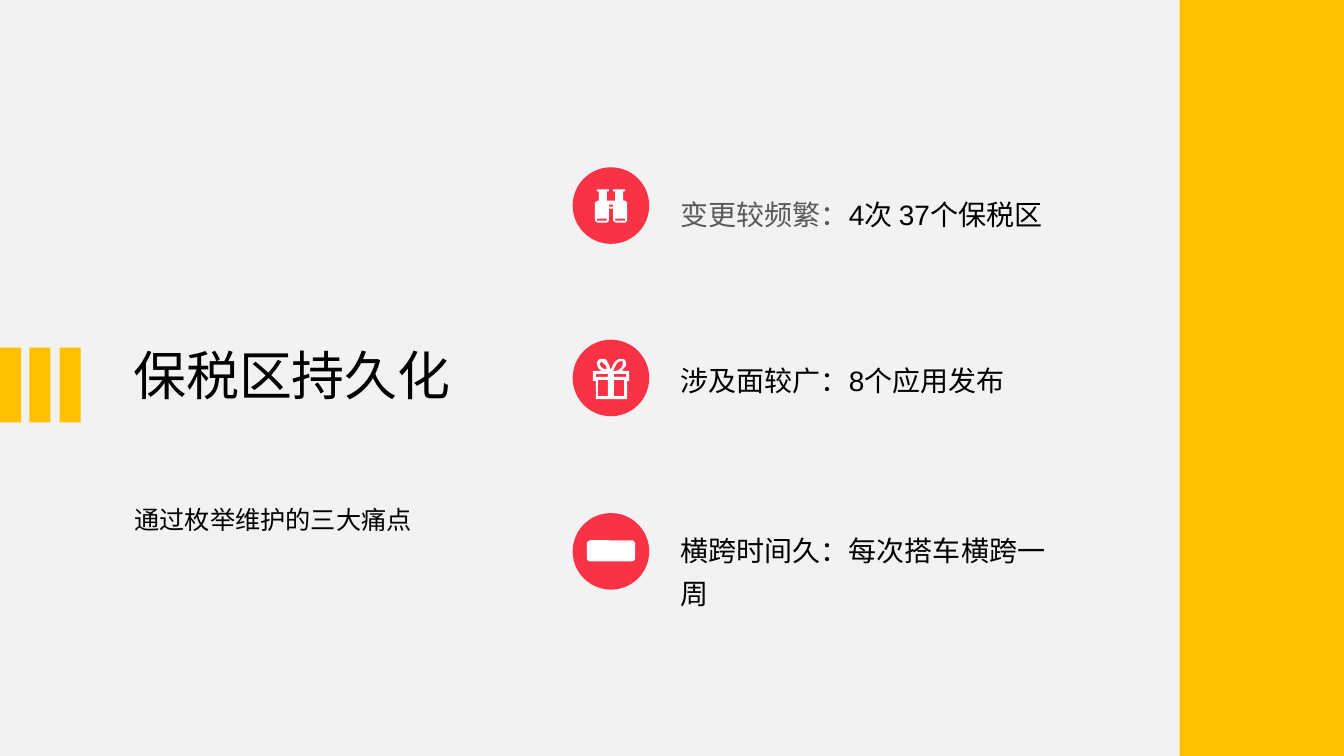
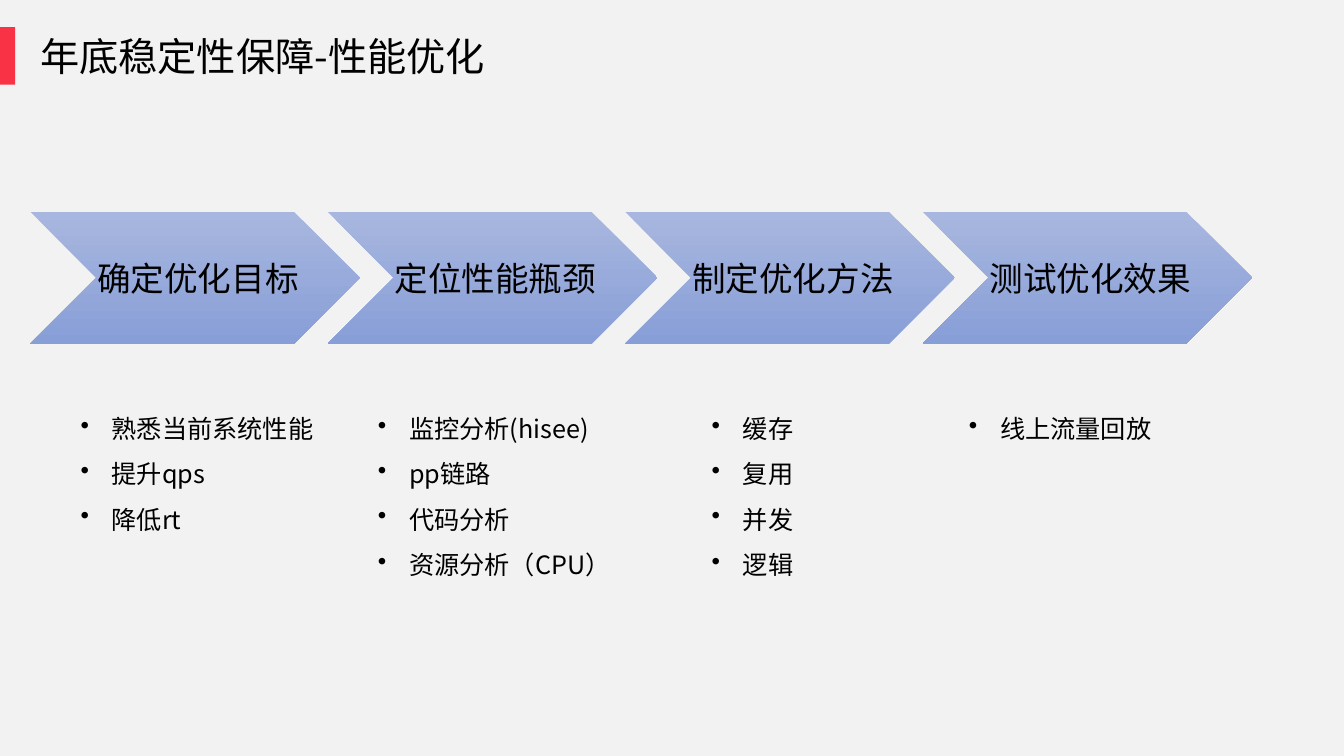
from dataclasses import dataclass

from lxml.etree import SubElement
from pptx import Presentation
from pptx.dml.color import RGBColor
from pptx.enum.shapes import MSO_SHAPE as Preset
from pptx.enum.text import MSO_ANCHOR as Anchor, MSO_AUTO_SIZE as AutoSize, PP_ALIGN as Align
from pptx.oxml.ns import qn
from pptx.util import Pt

EMU_PER_PX = 9144
TITLE_ONLY = 5


@dataclass(frozen=True)
class Theme:
    paper: str = "F2F2F2"
    ink: str = "000000"
    muted: str = "595959"
    yellow: str = "FFC000"
    red: str = "FA3246"
    white: str = "FFFFFF"
    step_top: str = "A8B7DF"
    step_bottom: str = "889ED7"
    cjk: str = "Noto Sans CJK SC"
    latin: str = "Arial"
    cover_size: float = 37.8
    title_size: float = 28
    step_size: float = 24
    item_size: float = 20
    body_size: float = 18


THEME = Theme()


def rectangle(left, top, right, bottom):
    return [(left, top), (right, top), (right, bottom), (left, bottom)]


BINOCULARS = [
    rectangle(2, 0, 14, 2),
    rectangle(18, 0, 30, 2),
    [(30, 11), (28, 11), (28, 2), (20, 2), (20, 11), (12, 11), (12, 2), (4, 2),
     (4, 11), (3, 11), (0, 13), (0, 31), (3, 33), (12, 33), (14, 31), (14, 19),
     (18, 19), (18, 31), (21, 33), (30, 33), (32, 31), (32, 13)],
    rectangle(2, 29, 12, 31),
    rectangle(14, 15, 18, 17),
    rectangle(20, 29, 30, 31),
]
GIFT = [
    [(29, 12), (30, 10), (33, 7), (33, 4), (32, 1), (29, 0), (26, 0), (23, 2),
     (20, 6), (18, 11), (16, 6), (14, 2), (12, 0), (9, 0), (7, 0), (5, 2),
     (4, 4), (5, 8), (6, 10), (9, 12), (0, 12), (0, 22), (3, 22), (3, 40),
     (34, 40), (34, 22), (36, 22), (36, 12)],
    [(24, 4), (26, 3), (29, 2), (30, 4), (29, 8), (26, 11), (23, 12), (20, 12), (22, 8)],
    [(7, 5), (8, 3), (9, 3), (11, 5), (13, 7), (14, 10), (11, 10), (8, 8)],
    rectangle(3, 15, 15, 18),
    rectangle(5, 21, 15, 37),
    rectangle(21, 15, 33, 18),
    rectangle(21, 21, 31, 37),
]

PAIN_TITLE = "保税区持久化"
PAIN_SUBTITLE = " 通过枚举维护的三大痛点"
PAIN_POINTS = [
    ([("变更较频繁：", THEME.muted), ("4次 37个保税区", THEME.ink)], 186, BINOCULARS, (590, 188)),
    ("涉及面较广：8个应用发布", 351, GIFT, (588, 356)),
    ("横跨时间久：每次搭车横跨一周", 519, None, (582, 536)),
]

TUNING_TITLE = "年底稳定性保障-性能优化"
TUNING_STEPS = [
    ("确定优化目标", ["熟悉当前系统性能", "提升qps", "降低rt"], (70, 251)),
    ("定位性能瓶颈", ["监控分析(hisee)", "pp链路", "代码分析", "资源分析（CPU）"], (365, 254)),
    ("制定优化方法", ["缓存", "复用", "并发", "逻辑"], (696, 101)),
    ("测试优化效果", ["线上流量回放"], (951, 201)),
]


def px(length):
    return round(length * EMU_PER_PX)


def box(*lengths):
    return [px(length) for length in lengths]


def color(code):
    return RGBColor.from_string(code)


def write(frame, paragraphs, size, font=THEME.cjk, ink=THEME.ink, align=Align.LEFT,
          anchor=Anchor.TOP, insets=(10, 5, 10, 5), wrap=True, spacing=None,
          after=None, bullet=None):
    frame.word_wrap = wrap
    frame.auto_size = AutoSize.NONE
    frame.vertical_anchor = anchor
    frame.margin_left, frame.margin_top, frame.margin_right, frame.margin_bottom = box(*insets)
    for index, content in enumerate(paragraphs):
        paragraph = frame.add_paragraph() if index else frame.paragraphs[0]
        paragraph.alignment = align
        if spacing:
            paragraph.line_spacing = spacing
        if after:
            paragraph.space_after = Pt(after)
        if bullet:
            properties = paragraph._p.get_or_add_pPr()
            properties.set("marL", str(px(31)))
            properties.set("indent", str(-px(31)))
            SubElement(properties, qn("a:buChar")).set("char", bullet)
        for text, run_ink in [(content, ink)] if isinstance(content, str) else content:
            run = paragraph.add_run()
            run.text = text
            run.font.size = Pt(size)
            run.font.name = font
            run.font.color.rgb = color(run_ink)
            SubElement(run._r.get_or_add_rPr(), qn("a:ea")).set("typeface", THEME.cjk)


def strip(shape):
    shape.shadow.inherit = False
    shape.line.fill.background()
    return shape


def paint(shape, fill):
    strip(shape).fill.solid()
    shape.fill.fore_color.rgb = color(fill)


def add_block(slide, preset, place, fill):
    paint(slide.shapes.add_shape(preset, *box(*place)), fill)


def add_text(slide, place, paragraphs, size, **fmt):
    write(slide.shapes.add_textbox(*box(*place)).text_frame, paragraphs, size, **fmt)


def add_icon(slide, contours, corner):
    outline = slide.shapes.build_freeform(*contours[0][0], scale=EMU_PER_PX)
    for index, contour in enumerate(contours):
        if index:
            outline.move_to(*contour[0])
        outline.add_line_segments(contour[1:], close=True)
    paint(outline.convert_to_shape(*box(*corner)), THEME.white)


def add_titled_slide(deck, title, place, size, **fmt):
    slide = deck.slides.add_slide(deck.slide_layouts[TITLE_ONLY])
    heading = slide.shapes.title
    heading.left, heading.top, heading.width, heading.height = box(*place)
    write(heading.text_frame, [title], size, **fmt)
    return slide


def build_pain_points(deck):
    slide = add_titled_slide(deck, PAIN_TITLE, (122, 342, 462, 92), THEME.cover_size,
                             spacing=0.9, after=6)
    for bar in range(3):
        add_block(slide, Preset.RECTANGLE, (bar * 59 // 2, 345, 21, 74), THEME.yellow)
    add_block(slide, Preset.RECTANGLE, (1170, 0, 163, 750), THEME.yellow)
    add_text(slide, (118, 495, 450, 71), [PAIN_SUBTITLE], THEME.body_size)
    for row, (point, top, icon, corner) in enumerate(PAIN_POINTS):
        add_text(slide, (675, top, 373, 47), [point], THEME.item_size, font=THEME.latin,
                 insets=(0, 0, 0, 0), spacing=1.3)
        add_block(slide, Preset.OVAL, (568, 166 + row * 343 // 2, 76, 76), THEME.red)
        if icon:
            add_icon(slide, icon, corner)
        else:
            add_block(slide, Preset.ROUNDED_RECTANGLE, (*corner, 48, 21), THEME.white)


def build_tuning_steps(deck):
    slide = add_titled_slide(deck, TUNING_TITLE, (30, 27, 467, 57), THEME.title_size)
    add_block(slide, Preset.RECTANGLE, (0, 27, 15, 57), THEME.red)
    for column, (step, tasks, (left, width)) in enumerate(TUNING_STEPS):
        place = box(30 + column * 295, 210, 327, 131)
        chevron = strip(slide.shapes.add_shape(Preset.CHEVRON, *place))
        chevron.fill.gradient()
        chevron.fill.gradient_angle = 270
        for stop, shade in zip(chevron.fill.gradient_stops, (THEME.step_top, THEME.step_bottom)):
            stop.color.rgb = color(shade)
        write(chevron.text_frame, [step], THEME.step_size, align=Align.CENTER,
              anchor=Anchor.MIDDLE, insets=(10, 4, 4, 4), wrap=False)
        add_text(slide, (left, 390, width, 10 + 46 * len(tasks)), tasks, THEME.body_size,
                 spacing=1.5, bullet="•")


def main():
    deck = Presentation()
    deck.slide_width, deck.slide_height = box(1333, 750)
    backdrop = deck.slide_master.background.fill
    backdrop.solid()
    backdrop.fore_color.rgb = color(THEME.paper)
    build_pain_points(deck)
    build_tuning_steps(deck)
    deck.save("out.pptx")


if __name__ == "__main__":
    main()
